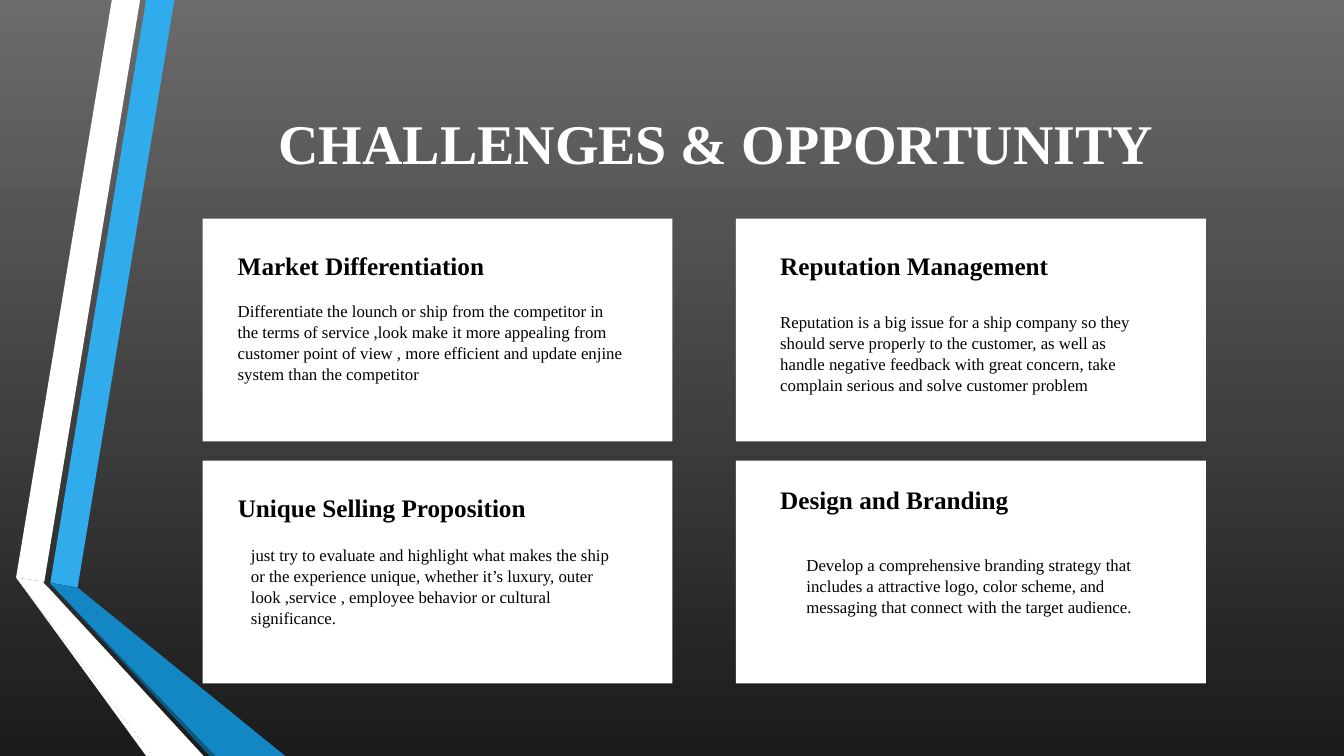
from dataclasses import dataclass

from pptx import Presentation
from pptx.dml.color import RGBColor
from pptx.enum.shapes import MSO_SHAPE
from pptx.enum.text import MSO_ANCHOR, MSO_AUTO_SIZE, PP_ALIGN
from pptx.util import Emu, Pt

RECTANGLE = MSO_SHAPE.RECTANGLE
MIDDLE, TOP = MSO_ANCHOR.MIDDLE, MSO_ANCHOR.TOP
CENTER, LEFT = PP_ALIGN.CENTER, PP_ALIGN.LEFT
FIXED_SIZE = MSO_AUTO_SIZE.NONE

PX = 9144  # EMU in one px, 100 px to the inch
FONT = "Times New Roman"
TITLE_ONLY = 5
COLORS = {
    "sky": "6B6B6B",
    "ground": "1B1B1B",
    "white": "FFFFFF",
    "black": "000000",
    "blue": "30ACEC",
    "fold": "1287C3",
    "shade": "0C5A82",
}


@dataclass(frozen=True)
class Ribbon:
    color: str
    points: tuple[tuple[int, int], ...]


@dataclass(frozen=True)
class Words:
    text: str
    left: int
    top: int
    width: int
    height: int


@dataclass(frozen=True)
class Card:
    heading: Words
    body: Words


RIBBONS = (
    Ribbon("blue", ((50, 578), (77, 583), (173, 0), (145, 0))),
    Ribbon("white", ((139, 0), (111, 0), (16, 573), (44, 577))),
    Ribbon("white", ((16, 573), (145, 750), (151, 750))),
    Ribbon("shade", ((50, 579), (208, 750), (214, 750))),
    Ribbon("fold", ((50, 579), (214, 750), (283, 750), (77, 583), (50, 578))),
    Ribbon("white", ((202, 750), (48, 583), (43, 578), (44, 577), (16, 573), (151, 750))),
)

# Cards run left to right, then down
CARD_LEFT, CARD_TOP, CARD_WIDTH, CARD_HEIGHT = 201, 217, 466, 221
COLUMN_STEP, ROW_STEP, COLUMNS = 529, 240, 2
CARDS = (
    Card(
        Words("Market Differentiation", 226, 243, 407, 71),
        Words("Differentiate the lounch or ship from the competitor in the terms of service "
              ",look make it more appealing from customer point of view , more efficient and "
              "update enjine system than the competitor", 226, 292, 407, 91),
    ),
    Card(
        Words("Reputation Management", 764, 243, 407, 61),
        Words("Reputation is a big issue for a ship company so they should serve properly to "
              "the customer, as well as handle negative feedback with great concern, take "
              "complain serious and solve customer problem", 764, 303, 368, 91),
    ),
    Card(
        Words("Unique Selling Proposition", 226, 483, 392, 71),
        Words("just try to evaluate and highlight what makes the ship or the experience "
              "unique, whether it’s luxury, outer look ,service , employee behavior or "
              "cultural significance.", 239, 534, 392, 121),
    ),
    Card(
        Words("Design and Branding", 764, 476, 277, 61),
        Words("Develop a comprehensive branding strategy that includes a attractive logo, "
              "color scheme, and messaging that connect with the target audience.",
              790, 544, 369, 101),
    ),
)


def px(length: int) -> Emu:
    return Emu(length * PX)


def rgb(name: str) -> RGBColor:
    return RGBColor.from_string(COLORS[name])


def paint(shape, color: str) -> None:
    shape.shadow.inherit = False
    shape.fill.solid()
    shape.fill.fore_color.rgb = rgb(color)
    shape.line.fill.background()


def write(box, text: str, *, size: int, color: str = "black", bold: bool = False,
          align=LEFT, anchor=TOP, spacing: float = 1.0) -> None:
    frame = box.text_frame
    frame.word_wrap = True
    frame.auto_size = FIXED_SIZE
    frame.vertical_anchor = anchor
    para = frame.paragraphs[0]
    para.alignment = align
    para.line_spacing = spacing
    span = para.add_run()
    span.text = text
    span.font.name = FONT
    span.font.size = Pt(size)
    span.font.bold = bold
    span.font.color.rgb = rgb(color)


def draw_background(page) -> None:
    fill = page.background.fill
    fill.gradient()
    fill.gradient_angle = 270
    for stop, position, color in zip(fill.gradient_stops, (0, 1), ("sky", "ground")):
        stop.position = position
        stop.color.rgb = rgb(color)


def draw_ribbon(page, ribbon: Ribbon) -> None:
    start, *others = ribbon.points
    outline = page.shapes.build_freeform(*start, scale=PX)
    outline.add_line_segments(others, close=True)
    paint(outline.convert_to_shape(), ribbon.color)


def draw_title(page, text: str) -> None:
    title = page.shapes.title
    title.left, title.top, title.width, title.height = px(162), px(75), px(1096), px(192)
    title.text_frame.margin_bottom = px(65)
    write(title, text, size=40, color="white", bold=True, align=CENTER, anchor=MIDDLE)


def draw_words(page, words: Words, **text_format) -> None:
    box = page.shapes.add_textbox(
        px(words.left), px(words.top), px(words.width), px(words.height))
    write(box, words.text, **text_format)


def draw_card(page, card: Card, index: int) -> None:
    row, column = divmod(index, COLUMNS)
    panel = page.shapes.add_shape(
        RECTANGLE, px(CARD_LEFT + column * COLUMN_STEP), px(CARD_TOP + row * ROW_STEP),
        px(CARD_WIDTH), px(CARD_HEIGHT))
    paint(panel, "white")
    draw_words(page, card.heading, size=18, bold=True)
    draw_words(page, card.body, size=12, spacing=1.05)


def main() -> None:
    deck = Presentation()
    deck.slide_width, deck.slide_height = px(1333), px(750)
    page = deck.slides.add_slide(deck.slide_layouts[TITLE_ONLY])

    # Backdrop and ribbons
    draw_background(page)
    for ribbon in RIBBONS:
        draw_ribbon(page, ribbon)

    # Title and cards
    draw_title(page, "CHALLENGES & OPPORTUNITY")
    for index, card in enumerate(CARDS):
        draw_card(page, card, index)

    deck.save("out.pptx")


if __name__ == "__main__":
    main()
